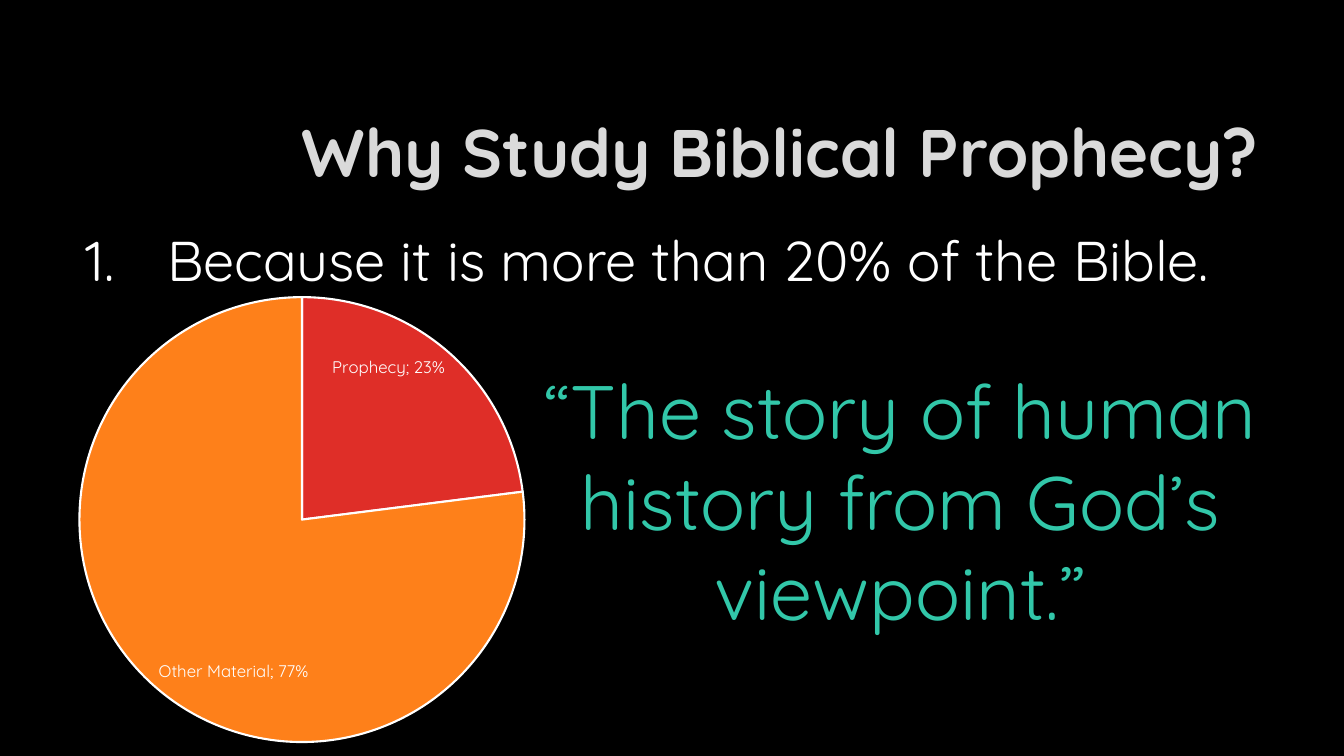
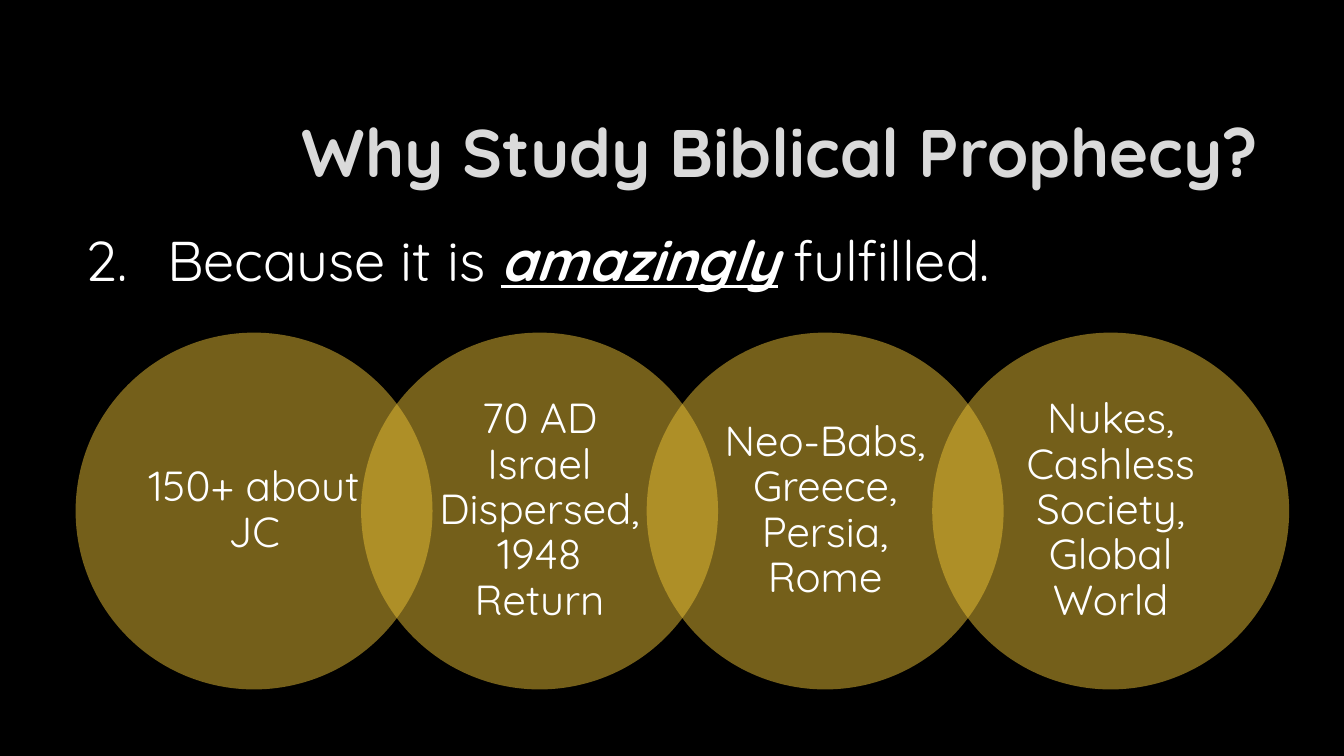
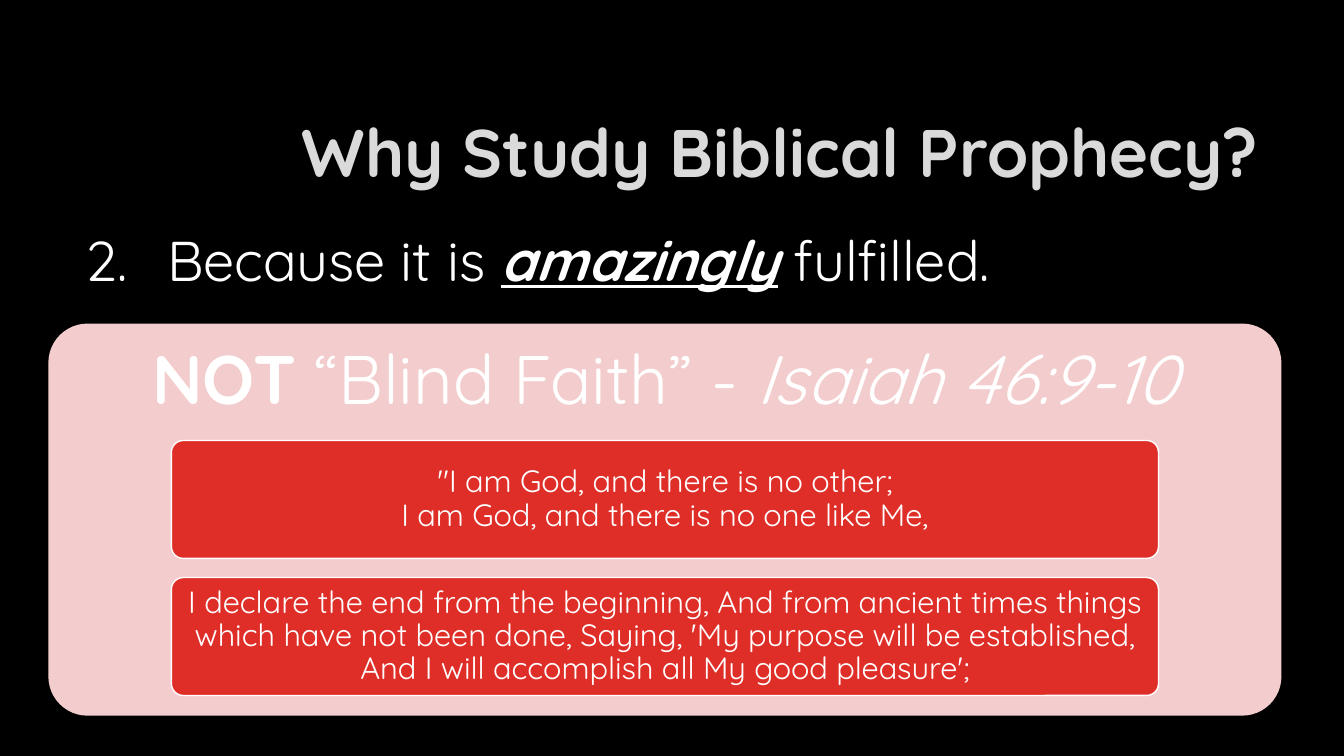
from lxml import etree
from pptx import Presentation
from pptx.chart.data import CategoryChartData
from pptx.dml.color import RGBColor
from pptx.enum.chart import XL_CHART_TYPE, XL_LABEL_POSITION
from pptx.enum.shapes import MSO_SHAPE
from pptx.enum.text import MSO_ANCHOR, MSO_AUTO_SIZE, PP_ALIGN
from pptx.oxml.ns import qn
from pptx.util import Inches, Pt

BLACK = RGBColor(0x00, 0x00, 0x00)
WHITE = RGBColor(0xFF, 0xFF, 0xFF)
SILVER = RGBColor(0xDA, 0xDA, 0xDA)
RED = RGBColor(0xDF, 0x2E, 0x28)
ORANGE = RGBColor(0xFE, 0x80, 0x1A)
GOLD = RGBColor(0xE9, 0xBF, 0x35)
PINK = RGBColor(0xF3, 0xCD, 0xCD)
TEAL = RGBColor(0x32, 0xC7, 0xA9)

FONT = "Quicksand"
TITLE = "Why Study Biblical Prophecy?"
TITLE_ONLY = 5
EMPHASIS = {"bold": True, "italic": True, "underline": True}
FULFILLED = [("Because it is ", {}), ("amazingly", EMPHASIS), (" fulfilled.", {})]


def write(shape, spans, size, color=WHITE, align=PP_ALIGN.CENTER,
          anchor=MSO_ANCHOR.MIDDLE, spacing=0.9, margins=(0.1, 0.05)):
    """Fill a shape with one paragraph of (text, format) spans; "\\n" is a line break."""
    frame = shape.text_frame
    frame.word_wrap = True
    frame.auto_size = MSO_AUTO_SIZE.NONE
    frame.vertical_anchor = anchor
    frame.margin_left = frame.margin_right = Inches(margins[0])
    frame.margin_top = frame.margin_bottom = Inches(margins[1])
    para = frame.paragraphs[0]
    para.alignment = align
    para.line_spacing = spacing
    for text, formats in spans:
        if text == "\n":
            para.add_line_break()
            continue
        span = para.add_run()
        span.text = text
        span.font.color.rgb = color
        for name, value in {"name": FONT, "size": Pt(size), **formats}.items():
            setattr(span.font, name, value)
    return para


def place(shape, left, top, width, height):
    shape.left, shape.top = Inches(left), Inches(top)
    shape.width, shape.height = Inches(width), Inches(height)


def add_text(page, area, spans, size, **options):
    box = page.shapes.add_textbox(*map(Inches, area))
    return write(box, spans, size, **options)


def add_filled(page, kind, area, fill, line=None):
    shape = page.shapes.add_shape(kind, *map(Inches, area))
    shape.shadow.inherit = False
    shape.fill.solid()
    shape.fill.fore_color.rgb = fill
    if line is None:
        shape.line.fill.background()
    else:
        shape.line.color.rgb = line
        shape.line.width = Pt(1)
    if kind == MSO_SHAPE.ROUNDED_RECTANGLE:
        shape.adjustments[0] = 0.1
    return shape


def set_opacity(shape, percent):
    color = shape.fill._xPr.find(".//" + qn("a:srgbClr"))
    etree.SubElement(color, qn("a:alpha"), val=str(percent * 1000))


def add_reason_page(deck, number, reason):
    """Add a page with the shared title and one numbered reason."""
    page = deck.slides.add_slide(deck.slide_layouts[TITLE_ONLY])
    title = page.shapes.title
    place(title, 1.22, 0.84, 11.36, 1.41)
    write(title, [(TITLE, {"bold": True})], 48, color=SILVER, align=PP_ALIGN.RIGHT)

    para = add_text(page, (0.75, 2.26, 11.83, 0.9), reason, 40,
                    align=PP_ALIGN.LEFT, anchor=MSO_ANCHOR.TOP)
    para.space_before = Pt(10)
    properties = para._p.get_or_add_pPr()
    properties.set("marL", str(Inches(0.81)))
    properties.set("indent", str(-Inches(0.81)))
    etree.SubElement(properties, qn("a:buFont"), typeface="+mj-lt")
    etree.SubElement(properties, qn("a:buAutoNum"),
                     type="arabicPeriod", startAt=str(number))
    return page


def add_share_pie(page, area, shares):
    """Add a pie from a dict of category: (value, colour)."""
    data = CategoryChartData(number_format="0%")
    data.categories = list(shares)
    data.add_series("Series 1", [value for value, _ in shares.values()])
    chart = page.shapes.add_chart(XL_CHART_TYPE.PIE, *map(Inches, area), data).chart
    chart.has_legend = chart.has_title = False
    chart.font.name, chart.font.size = FONT, Pt(10)
    chart.font.color.rgb = WHITE

    plot = chart.plots[0]
    plot.vary_by_categories = True
    for index, (_, color) in enumerate(shares.values()):
        slice_format = plot.series[0].points[index].format
        slice_format.fill.solid()
        slice_format.fill.fore_color.rgb = color
        slice_format.line.color.rgb = WHITE
        slice_format.line.width = Pt(1.5)

    plot.has_data_labels = True
    labels = plot.data_labels
    label_formats = {
        "show_category_name": True, "show_value": True, "show_percentage": False,
        "number_format": "0%", "number_format_is_linked": False,
        "position": XL_LABEL_POSITION.INSIDE_END,
    }
    for name, value in label_formats.items():
        setattr(labels, name, value)
    labels.font.name, labels.font.size = FONT, Pt(12)
    labels.font.color.rgb = WHITE


def add_circle_chain(page, left, top, diameter, texts):
    """Add half-transparent circles that overlap by a fifth."""
    for index, text in enumerate(texts):
        area = (left + index * 0.8 * diameter, top, diameter, diameter)
        circle = add_filled(page, MSO_SHAPE.OVAL, area, GOLD)
        set_opacity(circle, 50)
        write(circle, [(text, {})], 30, margins=(0.19, 0.04))


def add_quote_panel(page, heading, quotes):
    left, top, width, height = 0.48, 3.21, 12.23, 3.89
    add_filled(page, MSO_SHAPE.ROUNDED_RECTANGLE, (left, top, width, height), PINK)
    add_text(page, (left, top, width, 1.17), heading, 49, margins=(0.2, 0.2))
    for index, spans in enumerate(quotes):
        area = (1.7, 4.37 + index * 1.36, 9.79, 1.17)
        card = add_filled(page, MSO_SHAPE.ROUNDED_RECTANGLE, area, RED, line=WHITE)
        write(card, spans, 22, margins=(0.06, 0.05))


def main():
    deck = Presentation()
    deck.slide_width, deck.slide_height = Inches(13.33), Inches(7.5)
    background = deck.slide_master.background.fill
    background.solid()
    background.fore_color.rgb = BLACK

    page = add_reason_page(deck, 1, [("Because it is more than 20% of the Bible.", {})])
    add_share_pie(page, (0, 2.81, 5.99, 4.69),
                  {"Prophecy": (0.23, RED), "Other Material": (0.77, ORANGE)})
    add_text(page, (4.91, 3.56, 8.04, 2.83),
             [("“The story of human history from God’s viewpoint.”", {})], 54,
             color=TEAL, anchor=MSO_ANCHOR.TOP, spacing=1.0)

    page = add_reason_page(deck, 2, FULFILLED)
    add_circle_chain(page, 0.75, 3.3, 3.54, [
        "150+ about JC",
        "70 AD Israel Dispersed, 1948 Return",
        "Neo-Babs, Greece, Persia, Rome",
        "Nukes, Cashless Society, Global World",
    ])

    page = add_reason_page(deck, 2, FULFILLED)
    add_quote_panel(
        page,
        [("NOT", {"bold": True}), (" “Blind Faith” - ", {}),
         ("Isaiah 46:9-10", {"italic": True})],
        [
            [("\"I am God, and there is no other;", {}), ("\n", {}),
             ("I am God, and there is no one like Me,", {})],
            [("I declare the end from the beginning, And from ancient times things "
              "which have not been done, Saying, 'My purpose will be established, "
              "And I will accomplish all My good pleasure';", {})],
        ],
    )

    deck.save("out.pptx")


if __name__ == "__main__":
    main()
